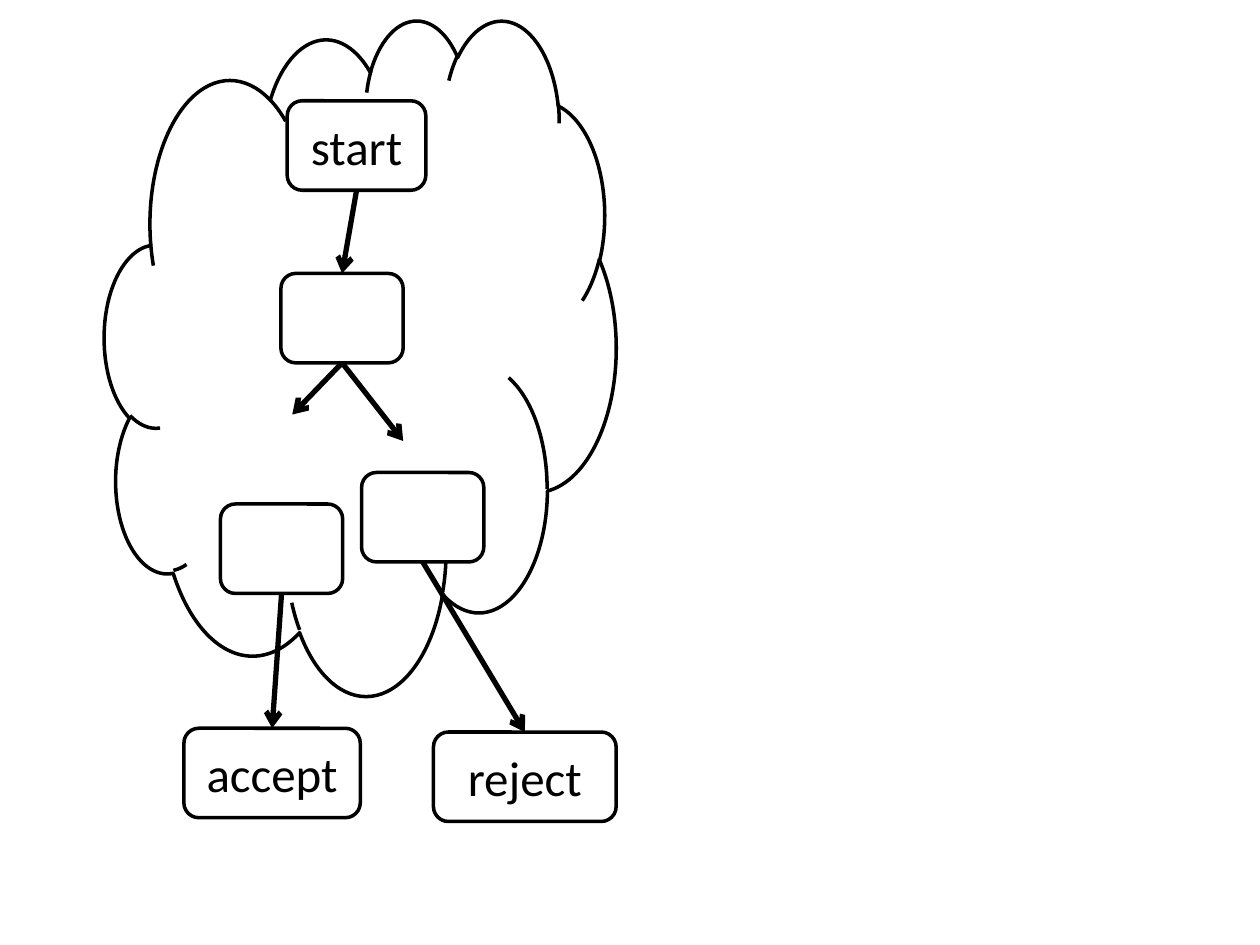
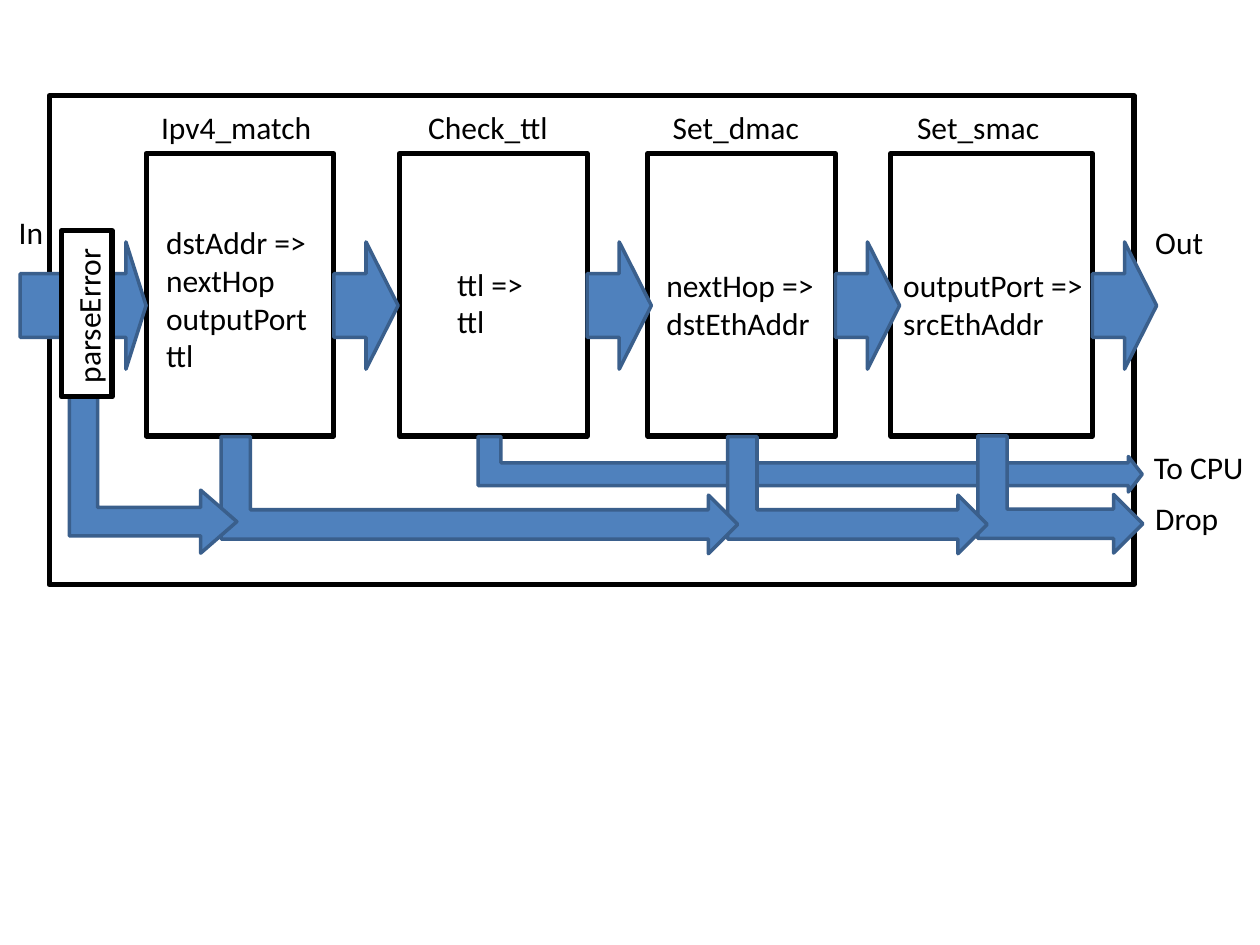
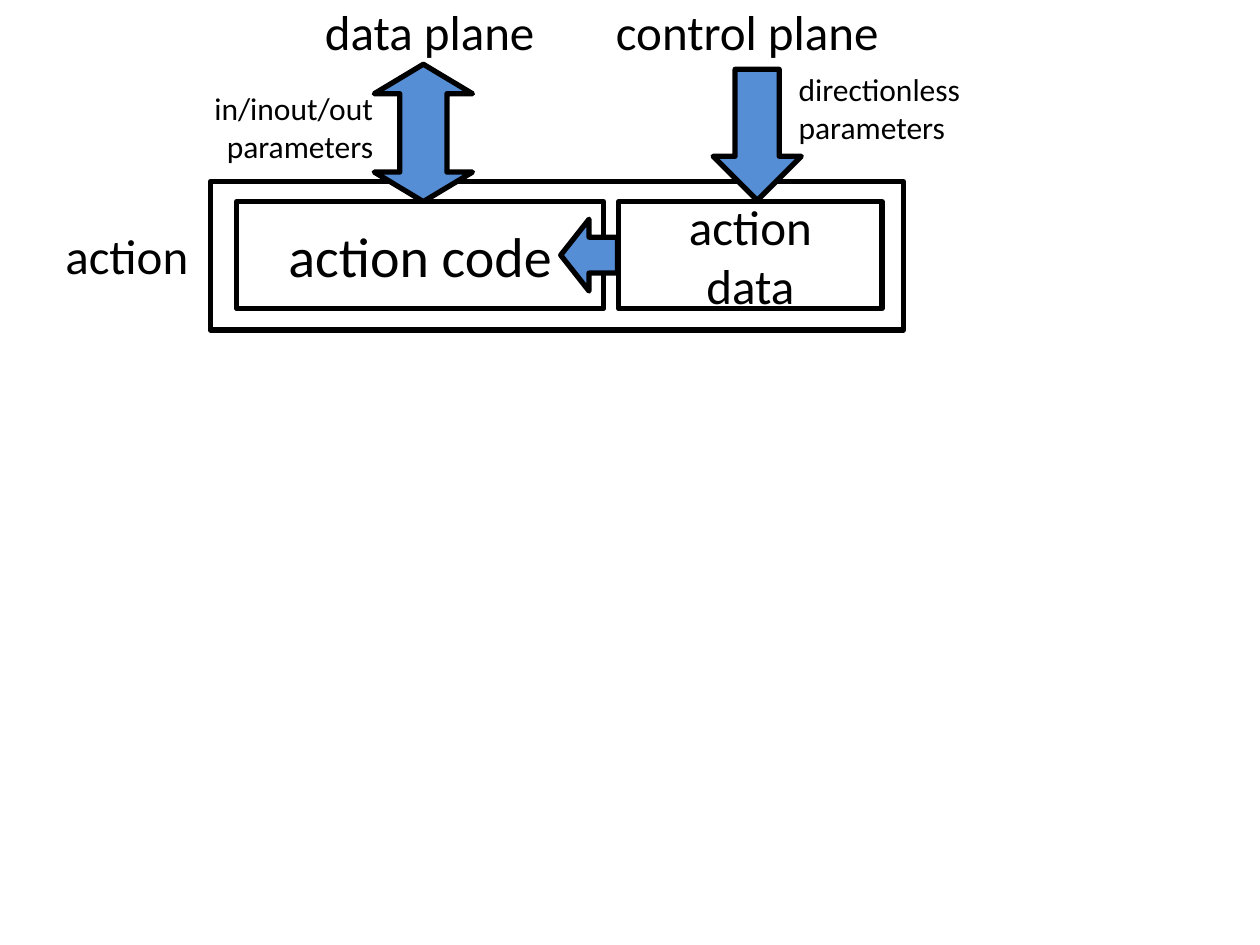
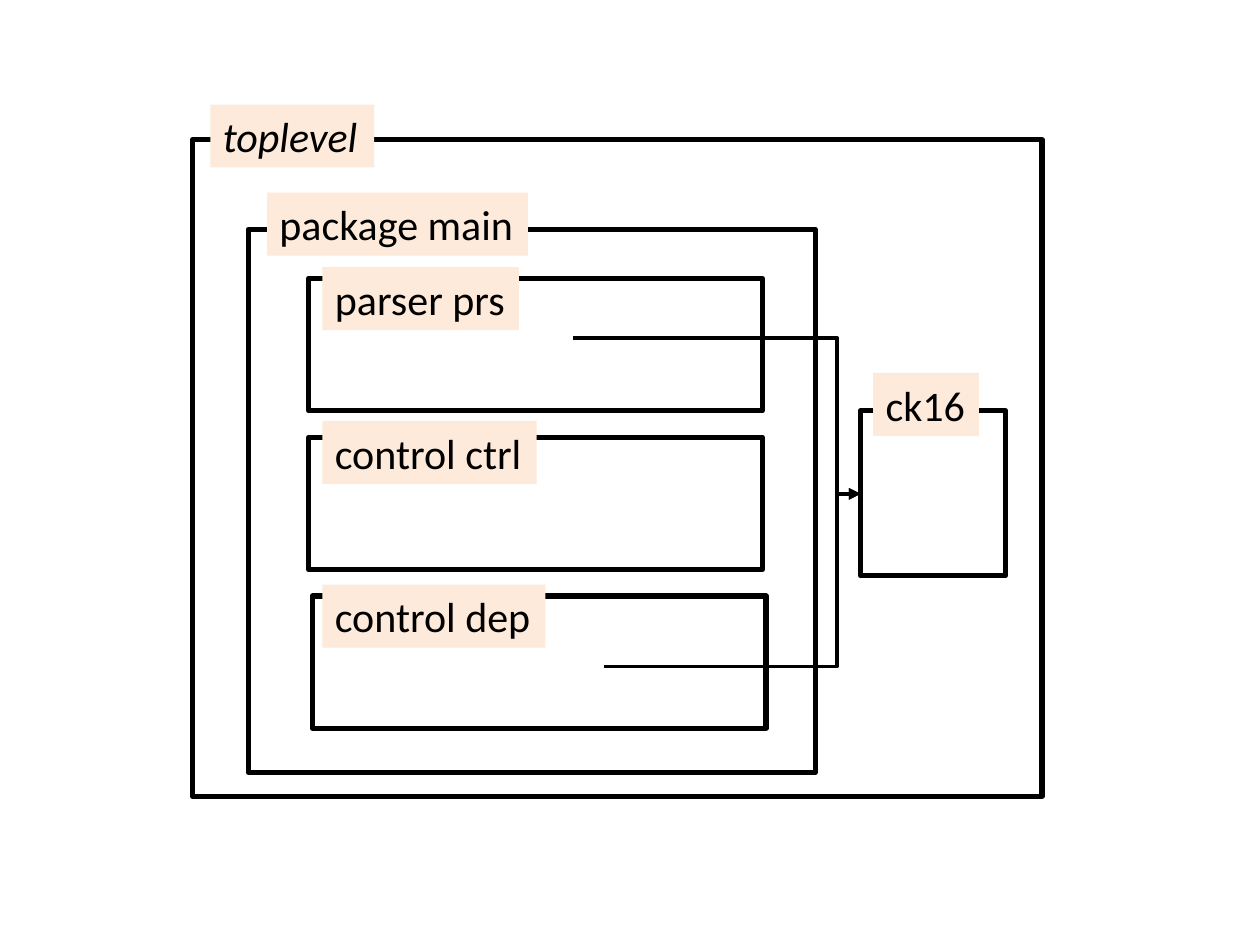
"""Build four block diagrams about packet processing as editable slides."""
from dataclasses import dataclass

from lxml import etree
from pptx import Presentation
from pptx.dml.color import RGBColor
from pptx.enum.shapes import MSO_CONNECTOR, MSO_SHAPE
from pptx.enum.text import MSO_ANCHOR, MSO_AUTO_SIZE, PP_ALIGN
from pptx.oxml.ns import qn
from pptx.util import Inches, Pt

RECT, ROUND, CLOUD = MSO_SHAPE.RECTANGLE, MSO_SHAPE.ROUNDED_RECTANGLE, MSO_SHAPE.CLOUD
RIGHT, LEFT, BOTH = MSO_SHAPE.RIGHT_ARROW, MSO_SHAPE.LEFT_ARROW, MSO_SHAPE.UP_DOWN_ARROW
BENT = MSO_SHAPE.BENT_UP_ARROW
STRAIGHT, ELBOW = MSO_CONNECTOR.STRAIGHT, MSO_CONNECTOR.ELBOW
TOP, MIDDLE = MSO_ANCHOR.TOP, MSO_ANCHOR.MIDDLE
START, CENTER, END = PP_ALIGN.LEFT, PP_ALIGN.CENTER, PP_ALIGN.RIGHT
GROW = MSO_AUTO_SIZE.SHAPE_TO_FIT_TEXT


@dataclass(frozen=True)
class Theme:
    font: str = "Calibri"
    ink: str = "000000"
    paper: str = "FFFFFF"
    flow: str = "4F81BD"
    edge: str = "3A5F8C"
    plane: str = "558ED5"
    tag: str = "FDEADA"
    small: int = 18
    label: int = 24
    large: int = 28
    huge: int = 32
    thin: float = 2
    wire: float = 2.25
    thick: float = 3


THEME = Theme()

STATE_H = 0.71
STATES = {
    "start": (2.28, 0.8, 1.1, "start"),
    "accept": (1.46, 5.78, 1.4, "accept"),
    "reject": (3.44, 5.81, 1.45, "reject"),
    "first": (2.23, 2.17, 0.97, ""),
    "left": (1.75, 4, 0.97, ""),
    "right": (2.87, 3.75, 0.97, ""),
}
MOVES = [("start", "first"), ("first", (3.2, 3.5)), ("first", (2.32, 3.29)),
         ("right", "reject"), ("left", "accept")]

STAGE_TOP, STAGE_H = 1.22, 2.24
STAGES = [
    (1.16, 1.49, "Ipv4_match", 1.18, 1.65,
     "dstAddr =>\nnextHop\noutputPort\nttl", (1.22, 1.72, 1.34, 1.31)),
    (3.17, 1.49, "Check_ttl", 3.3, 1.58, "ttl =>\nttl", (3.53, 2.05, 0.73, 0.71)),
    (5.14, 1.49, "Set_dmac", 5.24, 1.5,
     "nextHop =>\ndstEthAddr", (5.19, 2.06, 1.39, 0.71)),
    (7.07, 1.6, "Set_smac", 7.18, 1.49,
     "outputPort =>\nsrcEthAddr", (7.07, 2.06, 1.65, 0.71)),
]
BENDS = [
    ((6.21, 1.05, 0.44, 5.27), (0.41, 0.32, 0.25)),
    ((7.95, 3.27, 0.93, 1.31), ()),
    ((6.34, 2.9, 0.93, 2.06), ()),
    ((3.34, 1.88, 0.93, 4.1), ()),
    ((0.59, 3.1, 1.25, 1.33), (0.18, 0.2, 0.23)),
]
PORTS = [("Drop", (9.07, 3.91, 0.71, 0.4)), ("To CPU", (9.06, 3.51, 0.94, 0.4)),
         ("In", (0.05, 1.64, 0.4, 0.4)), ("Out", (9.07, 1.72, 0.59, 0.4))]

PARTS = [("", (1.67, 1.44, 5.5, 1.18), THEME.large),
         ("action code", (1.88, 1.6, 2.91, 0.85), THEME.huge),
         ("action\vdata", (4.91, 1.6, 2.09, 0.85), THEME.large)]
PLANES = [(BOTH, (2.97, 0.51, 0.78, 1.09), 0, (0.48, 0.3)),
          (LEFT, (4.45, 1.74, 0.45, 0.57), 0, ()),
          (LEFT, (5.49, 0.72, 1.04, 0.7), 270, ())]
NOTES = [("action", (0.42, 1.74, 1.19, 0.57), THEME.large, START),
         ("in/inout/out\vparameters", (1.58, 0.66, 1.48, 0.71), THEME.small, END),
         ("data plane", (2.48, -0.04, 1.88, 0.57), THEME.large, START),
         ("control plane", (4.79, -0.04, 2.31, 0.57), THEME.large, START),
         ("directionless\vparameters", (6.24, 0.51, 1.5, 0.71), THEME.small, START)]

TAG_H = 0.5
SCOPES = [
    ((1.97, 1.82, 4.5, 4.31), "package main", 2.12, 1.53, 2.07),
    ((2.45, 2.21, 3.6, 1.05), "parser prs", 2.56, 2.12, 1.56),
    ((2.45, 3.47, 3.6, 1.05), "control ctrl", 2.56, 3.34, 1.7),
    ((2.48, 4.73, 3.6, 1.05), "control dep", 2.56, 4.64, 1.77),
    ((6.83, 3.26, 1.15, 1.31), "ck16", 6.93, 2.96, 0.84),
    ((1.53, 1.11, 6.74, 5.21), "toplevel", 1.67, 0.83, 1.3),
]
CALLS = [(4.55, 2.68), (4.79, 5.29)]
CALLEE = (6.83, 3.92)
TURN_X = 6.64


def color(code):
    return RGBColor.from_string(code)


def write(shape, text, size, align=START, anchor=TOP, wrap=True, grow=False, italic=False):
    frame = shape.text_frame
    frame.word_wrap = wrap
    frame.vertical_anchor = anchor
    if grow:
        frame.auto_size = GROW
    for i, line in enumerate(text.split("\n")):
        para = frame.add_paragraph() if i else frame.paragraphs[0]
        para.alignment = align
        for j, part in enumerate(line.split("\v")):
            if j:
                para.add_line_break()
            run = para.add_run()
            run.text = part
            run.font.name = THEME.font
            run.font.size = Pt(size)
            run.font.color.rgb = color(THEME.ink)
            if italic:
                run.font.italic = True


def shape_by(shape, values):
    geom = shape._element.spPr.find(qn("a:prstGeom"))
    guides = geom.find(qn("a:avLst"))
    for old in list(guides):
        guides.remove(old)
    for i, value in enumerate(values, 1):
        etree.SubElement(guides, qn("a:gd"), name=f"adj{i}", fmla=f"val {round(value * 100000)}")


def draw(slide, kind, at, fill=None, line=THEME.ink, width=THEME.thick, turn=0, adjust=()):
    shape = slide.shapes.add_shape(kind, *map(Inches, at))
    shape.shadow.inherit = False
    shape.rotation = turn
    if adjust:
        shape_by(shape, adjust)
    if fill:
        shape.fill.solid()
        shape.fill.fore_color.rgb = color(fill)
    else:
        shape.fill.background()
    if line:
        shape.line.color.rgb = color(line)
        shape.line.width = Pt(width)
    else:
        shape.line.fill.background()
    return shape


def note(slide, text, at, size=THEME.small, align=START, wrap=False, turn=0):
    box = slide.shapes.add_textbox(*map(Inches, at))
    box.rotation = turn
    write(box, text, size, align, wrap=wrap, grow=True)


def link(slide, kind, start, end, width, head):
    wire = slide.shapes.add_connector(kind, *map(Inches, (*start, *end)))
    wire.line.color.rgb = color(THEME.ink)
    wire.line.width = Pt(width)
    props = wire.line._get_or_add_ln()
    etree.SubElement(props, qn("a:tailEnd"), type=head)
    etree.SubElement(props.getparent(), qn("a:effectLst"))
    return wire


def port(name, low):
    left, top, width, _ = STATES[name]
    return left + width / 2, top + (STATE_H if low else 0)


def parser(slide):
    draw(slide, CLOUD, (0.83, 0.15, 4.06, 5.36), THEME.paper, width=THEME.thin)
    for left, top, width, text in STATES.values():
        shape = draw(slide, ROUND, (left, top, width, STATE_H), THEME.paper, width=THEME.thin)
        if text:
            write(shape, text, THEME.large, CENTER, MIDDLE)
    for start, end in MOVES:
        goal = port(end, False) if isinstance(end, str) else end
        link(slide, STRAIGHT, port(start, True), goal, THEME.thick, "arrow")


def pipeline(slide):
    flow = dict(fill=THEME.flow, line=THEME.edge, width=THEME.thin)
    draw(slide, RECT, (0.39, 0.76, 8.61, 3.88))
    for left, width, name, x, room, _, _ in STAGES:
        draw(slide, RECT, (left, STAGE_TOP, width, STAGE_H))
        note(slide, name, (x, 0.81, room, 0.4), wrap=True)
    draw(slide, RIGHT, (0.16, 1.92, 1, 1.01), adjust=(0.5, 0.16), **flow)
    for left, width, *_ in STAGES:
        draw(slide, RIGHT, (left + width, 1.92, 0.51, 1.01), **flow)
    for at, adjust in BENDS:
        draw(slide, BENT, at, turn=90, adjust=adjust, **flow)
    for *_, body, at in STAGES:
        note(slide, body, at)
    for text, at in PORTS:
        note(slide, text, at)
    draw(slide, RECT, (0.49, 1.83, 0.4, 1.32), THEME.paper)
    note(slide, "parseError", (-0.26, 1.98, 1.92, 0.4), wrap=True, turn=270)


def action(slide):
    for text, at, size in PARTS:
        shape = draw(slide, RECT, at)
        if text:
            write(shape, text, size, CENTER, MIDDLE, wrap=False)
    for kind, at, turn, adjust in PLANES:
        draw(slide, kind, at, THEME.plane, turn=turn, adjust=adjust)
    for text, at, size, align in NOTES:
        note(slide, text, at, size, align)


def scopes(slide):
    for at, *_ in SCOPES:
        draw(slide, RECT, at)
    for _, text, left, top, width in SCOPES:
        tag = draw(slide, RECT, (left, top, width, TAG_H), THEME.tag, None)
        write(tag, text, THEME.label, wrap=False, grow=True, italic=text == "toplevel")
    for start in CALLS:
        wire = link(slide, ELBOW, start, CALLEE, THEME.wire, "triangle")
        shape_by(wire, [(TURN_X - start[0]) / (CALLEE[0] - start[0])])


deck = Presentation()
deck.slide_width, deck.slide_height = Inches(10), Inches(7.5)
for build in (parser, pipeline, action, scopes):
    page = deck.slides.add_slide(deck.slide_layouts[6])
    page.background.fill.solid()
    page.background.fill.fore_color.rgb = color(THEME.paper)
    build(page)
deck.save("out.pptx")
